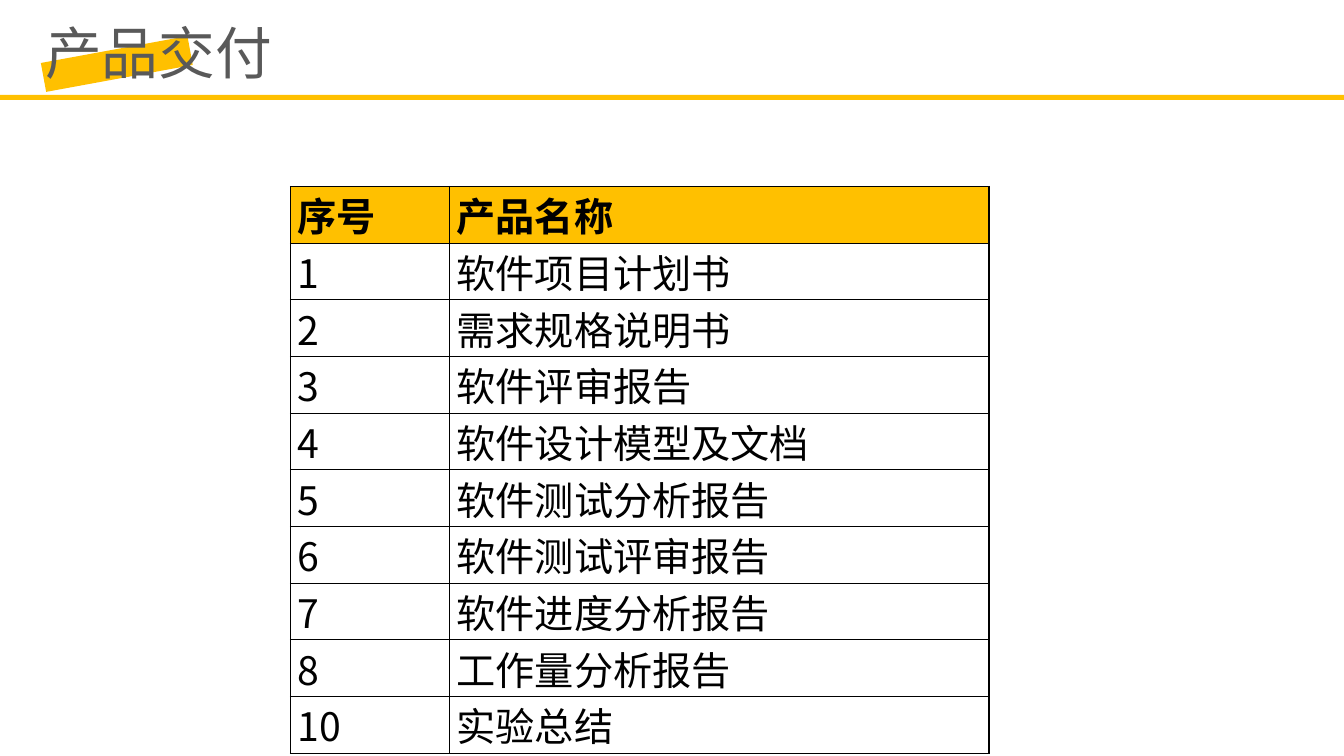
from lxml import etree
from pptx import Presentation
from pptx.dml.color import RGBColor
from pptx.enum.shapes import MSO_SHAPE
from pptx.enum.text import MSO_ANCHOR, MSO_AUTO_SIZE, PP_ALIGN
from pptx.oxml.ns import qn
from pptx.util import Pt

RECT = MSO_SHAPE.RECTANGLE
TOP, MIDDLE, BOTTOM = MSO_ANCHOR.TOP, MSO_ANCHOR.MIDDLE, MSO_ANCHOR.BOTTOM
GROW = MSO_AUTO_SIZE.SHAPE_TO_FIT_TEXT
JUSTIFY = PP_ALIGN.JUSTIFY
CJK, LATIN = "Noto Sans CJK SC", "Calibri"
AMBER, BLACK, GREY = "FFC000", "000000", "595959"
PRODUCTS = [
    ("序号", "产品名称"),
    ("1", "软件项目计划书"),
    ("2", "需求规格说明书"),
    ("3", "软件评审报告"),
    ("4", "软件设计模型及文档"),
    ("5", "软件测试分析报告"),
    ("6", "软件测试评审报告"),
    ("7", "软件进度分析报告"),
    ("8", "工作量分析报告"),
    ("10", "实验总结"),
]


def rgb(value):
    """Turn a hex string into a colour."""
    return RGBColor.from_string(value)


def add_text(tf, text, size, color=BLACK, font=CJK, bold=False, align=None):
    """Write one formatted run into the first paragraph of a text frame."""
    p = tf.paragraphs[0]
    p.alignment = align
    r = p.add_run()
    r.text = text
    r.font.size = Pt(size)
    r.font.bold = bold
    r.font.color.rgb = rgb(color)
    r.font.name = font
    etree.SubElement(r.font._element, qn("a:ea"), typeface=CJK)


def add_bar(s, x, y, w, h, rotation=0):
    """Draw a plain amber rectangle."""
    sp = s.shapes.add_shape(RECT, Pt(x), Pt(y), Pt(w), Pt(h))
    sp.shadow.inherit = False
    sp.fill.solid()
    sp.fill.fore_color.rgb = rgb(AMBER)
    sp.line.fill.background()
    sp.rotation = rotation


def add_header(s, x, y, w, h):
    """Place the title, its slanted highlight and the rule across the slide."""
    add_bar(s, x + 5, y + 26.5, 106.5, 21, rotation=349.6)
    sp = s.shapes.add_textbox(Pt(x), Pt(y), Pt(w), Pt(h))
    tf = sp.text_frame
    tf.word_wrap = True
    tf.auto_size = GROW
    tf.vertical_anchor = MIDDLE
    add_text(tf, "产品交付", 40.5, color=GREY)
    add_bar(s, 0, y + 59, 960, 3.6)


def add_borders(cell, color=BLACK, width=1):
    """Outline a table cell on all four sides."""
    tc_pr = cell._tc.get_or_add_tcPr()
    for i, side in enumerate(("lnL", "lnR", "lnT", "lnB")):
        ln = etree.Element(qn("a:" + side), w=str(Pt(width)))
        fill = etree.SubElement(ln, qn("a:solidFill"))
        etree.SubElement(fill, qn("a:srgbClr"), val=color)
        tc_pr.insert(i, ln)


def add_products(s, x, y, widths, row_height):
    """Build the table of deliverables."""
    n = len(PRODUCTS)
    table = s.shapes.add_table(n, len(widths), Pt(x), Pt(y),
                               Pt(sum(widths)), Pt(row_height * n)).table
    table.first_row = table.horz_banding = False
    for col, width in zip(table.columns, widths):
        col.width = Pt(width)
    for i, product in enumerate(PRODUCTS):
        table.rows[i].height = Pt(row_height)
        head = i == 0
        for j, text in enumerate(product):
            cell = table.cell(i, j)
            cell.margin_left = cell.margin_right = Pt(5)
            cell.margin_top = cell.margin_bottom = 0
            cell.vertical_anchor = BOTTOM if i < 3 else TOP
            if head:
                cell.fill.solid()
                cell.fill.fore_color.rgb = rgb(AMBER)
            else:
                cell.fill.background()
            add_borders(cell)
            add_text(cell.text_frame, text, 28, bold=head,
                     font=LATIN if head or j else CJK,
                     align=None if head else JUSTIFY)


def main():
    """Create the slide and save it."""
    prs = Presentation()
    prs.slide_width, prs.slide_height = Pt(960), Pt(540)
    s = prs.slides.add_slide(prs.slide_layouts[6])
    add_products(s, 207.4, 133.2, (113.8, 385.2), 40.5)
    add_header(s, 25.2, 8.7, 408, 56.2)
    prs.save("out.pptx")


if __name__ == "__main__":
    main()
